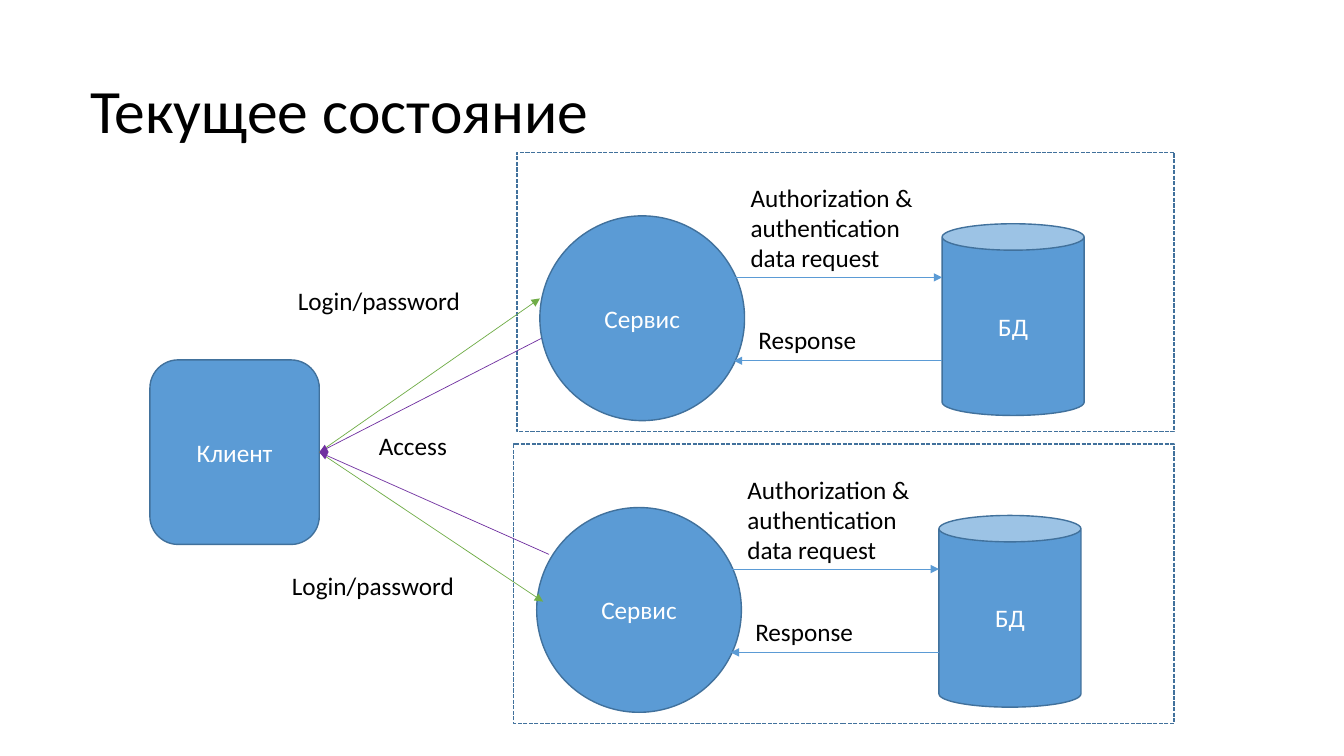
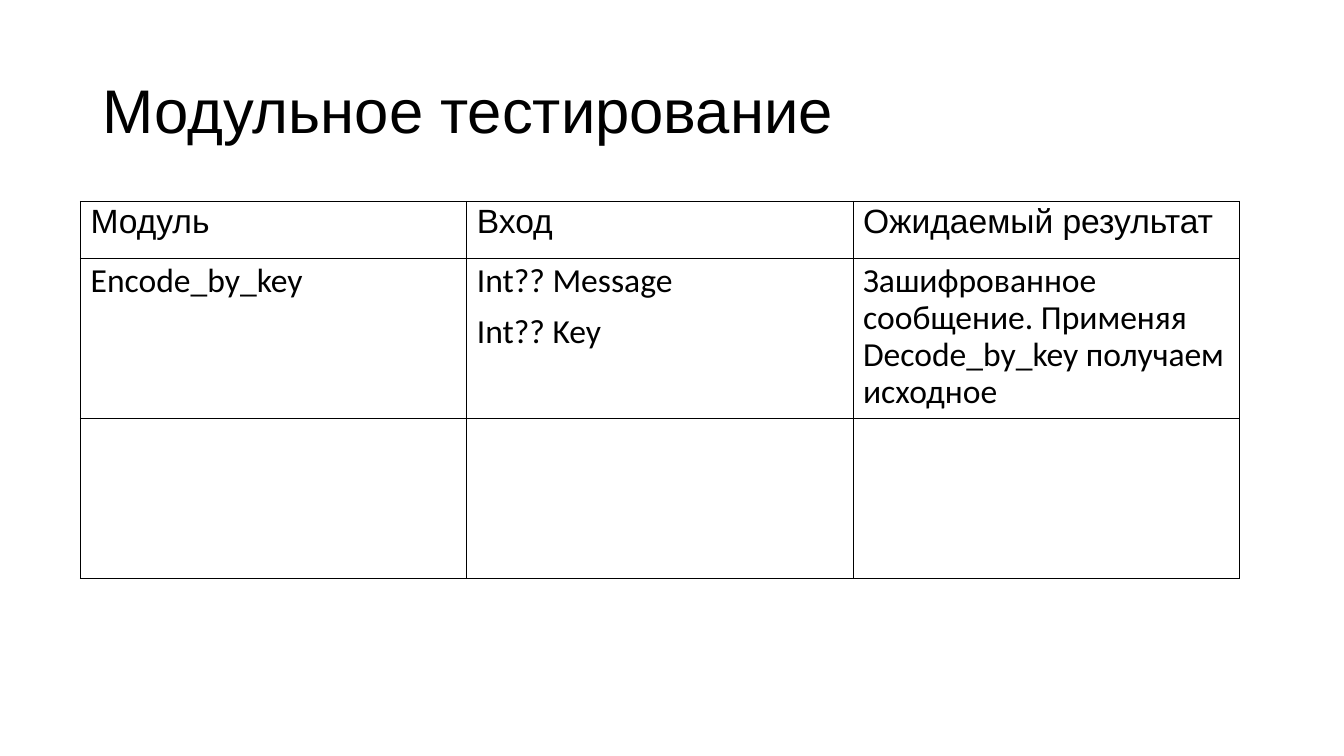
import pptx
import pptx.dml.color
import pptx.enum.dml
import pptx.enum.shapes
import pptx.enum.text
import pptx.oxml
import pptx.oxml.ns
import pptx.util

Cm, Pt = pptx.util.Cm, pptx.util.Pt
SHAPE = pptx.enum.shapes.MSO_SHAPE
ANCHOR = pptx.enum.text.MSO_ANCHOR
ALIGN = pptx.enum.text.PP_ALIGN
LEFT, RIGHT = 1, 3  # connection sites

# Shared look
BLACK, WHITE = "000000", "FFFFFF"
BLUE, OUTLINE, GREEN, PURPLE = "5B9BD5", "41719C", "70AD47", "7030A0"
BODY_FONT, TABLE_FONT = "Calibri", "Arial"

# Content, lengths in cm
STATE_TITLE = "Текущее состояние"
CLIENT = ("Клиент", (3.78, 9.07, 4.27, 4.65))
SERVICE = ("Сервис", (13.61, 5.44, 5.16, 5.16))
DATABASE = ("БД", (23.75, 5.64, 3.58, 4.83))
REQUEST = ("Authorization & authentication\vdata request", (18.67, 4.47, 5.61, 2.54))
RESPONSE = ("Response", (18.87, 8.05, 4.88, 1.02))
REQUEST_Y, RESPONSE_Y, SERVICE_EDGE = 6.99, 9.09, 18.5
FRAME, FRAME_RIGHT = (13.03, 3.84, 7.04), 29.6
SERVER_OFFSETS = [(0, 0), (-0.08, 7.35)]
CLIENT_LABELS = [
    ("Login/password", (7.26, 7.06, 5.03, 1.02)),
    ("Access", (9.3, 10.72, 2.31, 1.02)),
    ("Login/password", (7.11, 14.25, 5.03, 1.02)),
]
LOGIN_ENDS = [(13.61, 7.52), (13.69, 15.16)]
ACCESS_STARTS = [(13.64, 8.53), (13.84, 13.97)]

TEST_TITLE = "Модульное тестирование"
TEST_ROWS = [
    ("Модуль", "Вход", "Ожидаемый результат"),
    ("Encode_by_key", "Int?? Message\nInt?? Key",
     "Зашифрованное сообщение. Применяя Decode_by_key получаем исходное"),
    ("", "", ""),
]
TABLE_BOX = (2.03, 5.08, 29.21, 9.5)
ROW_HEIGHTS = (1.42, 4.04, 4.04)
OUTER_BORDER, INNER_BORDER = 1.08, 0.45


def rgb(hex_color):
    return pptx.dml.color.RGBColor.from_string(hex_color)


def cm(lengths):
    return [Cm(length) for length in lengths]


def style_text(frame, size, color=BLACK, font=BODY_FONT, align=ALIGN.LEFT, spacing=None, before=None):
    for paragraph in frame.paragraphs:
        paragraph.alignment = align
        paragraph.line_spacing = spacing
        paragraph.space_before = before
        for run in paragraph.runs:
            run.font.size = Pt(size)
            run.font.name = font
            run.font.color.rgb = rgb(color)


def add_label(slide, text, box, size=18, anchor=ANCHOR.TOP, **style):
    frame = slide.shapes.add_textbox(*cm(box)).text_frame
    frame.word_wrap = True
    frame.vertical_anchor = anchor
    frame.text = text
    style_text(frame, size, **style)


def add_titled_slide(deck, title, left, font):
    slide = deck.slides.add_slide(deck.slide_layouts[6])
    add_label(slide, title, (left, 1.02, 29.21, 3.68), 44, ANCHOR.MIDDLE, font=font, spacing=0.9)
    return slide


def add_outlined(slide, kind, box):
    shape = slide.shapes.add_shape(kind, *cm(box))
    shape.shadow.inherit = False
    shape.line.color.rgb = rgb(OUTLINE)
    shape.line.width = Pt(1)
    return shape


def add_node(slide, kind, text, box):
    node = add_outlined(slide, kind, box)
    node.fill.solid()
    node.fill.fore_color.rgb = rgb(BLUE)
    node.text_frame.text = text
    node.text_frame.vertical_anchor = ANCHOR.MIDDLE
    style_text(node.text_frame, 18, WHITE, align=ALIGN.CENTER)
    return node


def add_arrow(slide, start, end, color):
    arrow = slide.shapes.add_connector(pptx.enum.shapes.MSO_CONNECTOR.STRAIGHT, *cm(start + end))
    arrow.line.color.rgb = rgb(color)
    arrow.line.width = Pt(0.5)
    namespace = pptx.oxml.ns.nsdecls("a")
    arrow.line._get_or_add_ln().append(pptx.oxml.parse_xml(f'<a:tailEnd {namespace} type="triangle"/>'))
    arrow._element.spPr.append(pptx.oxml.parse_xml(f"<a:effectLst {namespace}/>"))
    return arrow


def add_server(slide, dx, dy):
    def moved(box):
        return (box[0] + dx, box[1] + dy) + box[2:]

    left, top, height = moved(FRAME)
    frame = add_outlined(slide, SHAPE.RECTANGLE, (left, top, FRAME_RIGHT - left, height))
    frame.fill.background()
    frame.line.dash_style = pptx.enum.dml.MSO_LINE.SQUARE_DOT

    for text, box in (REQUEST, RESPONSE):
        add_label(slide, text, moved(box))
    add_node(slide, SHAPE.OVAL, SERVICE[0], moved(SERVICE[1]))
    database = add_node(slide, SHAPE.CAN, DATABASE[0], moved(DATABASE[1]))
    database.adjustments[0] = 0.186

    database_edge = DATABASE[1][0]
    add_arrow(slide, moved((SERVICE_EDGE, REQUEST_Y)), moved((database_edge, REQUEST_Y)), BLUE)
    add_arrow(slide, moved((database_edge, RESPONSE_Y)), moved((SERVICE_EDGE, RESPONSE_Y)), BLUE)


def set_borders(cell, widths):
    properties = cell._tc.get_or_add_tcPr()
    for side, width in widths.items():
        properties.append(pptx.oxml.parse_xml(
            f'<a:ln{side} {pptx.oxml.ns.nsdecls("a")} w="{int(Pt(width))}">'
            f'<a:solidFill><a:srgbClr val="{BLACK}"/></a:solidFill></a:ln{side}>'))


def build_state_slide(deck):
    slide = add_titled_slide(deck, STATE_TITLE, 2.03, BODY_FONT)
    for offset in SERVER_OFFSETS:
        add_server(slide, *offset)

    # Client and its exchanges with both services
    client = add_node(slide, SHAPE.ROUNDED_RECTANGLE, *CLIENT)
    left, top, width, height = CLIENT[1]
    client_side = (left + width, top + height / 2)
    for login_end, access_start in zip(LOGIN_ENDS, ACCESS_STARTS):
        add_arrow(slide, client_side, login_end, GREEN).begin_connect(client, RIGHT)
        add_arrow(slide, access_start, client_side, PURPLE).end_connect(client, RIGHT)
    for text, box in CLIENT_LABELS:
        add_label(slide, text, box)


def build_test_slide(deck):
    slide = add_titled_slide(deck, TEST_TITLE, 2.34, TABLE_FONT)
    last_row, last_column = len(TEST_ROWS) - 1, len(TEST_ROWS[0]) - 1
    tests = slide.shapes.add_table(last_row + 1, last_column + 1, *cm(TABLE_BOX)).table
    tests.first_row = tests.horz_banding = False

    for r, (texts, height) in enumerate(zip(TEST_ROWS, ROW_HEIGHTS)):
        tests.rows[r].height = Cm(height)
        for c, text in enumerate(texts):
            cell = tests.cell(r, c)
            cell.text_frame.text = text
            style_text(cell.text_frame, 24, font=BODY_FONT if r else TABLE_FONT,
                       spacing=0.9, before=Pt(10))
            on_edge = {"L": c == 0, "R": c == last_column, "T": r == 0, "B": r == last_row}
            set_borders(cell, {side: OUTER_BORDER if outer else INNER_BORDER
                               for side, outer in on_edge.items()})
            cell.fill.background()


def main():
    deck = pptx.Presentation()
    deck.slide_width, deck.slide_height = Cm(33.88), Cm(19.05)
    build_state_slide(deck)
    build_test_slide(deck)
    deck.save("out.pptx")


if __name__ == "__main__":
    main()
